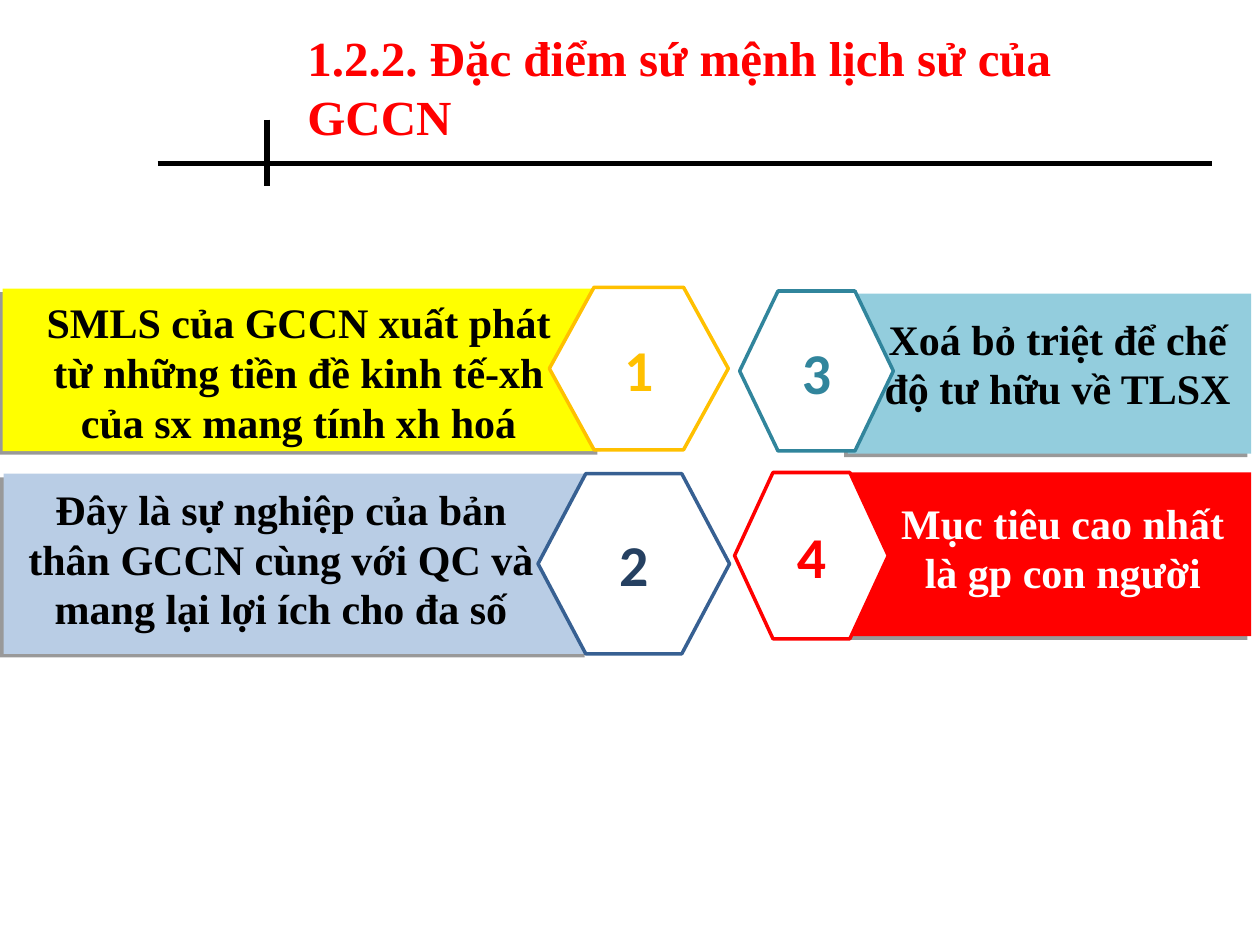
from lxml import etree
from pptx import Presentation
from pptx.dml.color import RGBColor
from pptx.enum.shapes import MSO_CONNECTOR, MSO_SHAPE
from pptx.enum.text import MSO_ANCHOR, PP_ALIGN
from pptx.oxml.ns import qn
from pptx.util import Inches, Pt

RECTANGLE, HEXAGON = MSO_SHAPE.RECTANGLE, MSO_SHAPE.HEXAGON
STRAIGHT = MSO_CONNECTOR.STRAIGHT
TOP, MIDDLE = MSO_ANCHOR.TOP, MSO_ANCHOR.MIDDLE
LEFT, CENTER = PP_ALIGN.LEFT, PP_ALIGN.CENTER
TITLE_ONLY = 5

COLORS = {
    "black": "000000", "white": "FFFFFF", "red": "FF0000",
    "yellow": "FFFF00", "gold": "FFC000",
    "pale_blue": "B9CDE5", "blue": "376092", "navy": "254061",
    "aqua": "93CDDD", "teal": "31859C",
}

# Each feature: number, text, colours (bar, outline, number, text),
# boxes (bar, hexagon, text), hexagon corner adjustment
FEATURES = [
    ("1", "SMLS của GCCN xuất phát từ những tiền đề kinh tế-xh của sx mang tính xh hoá",
     ("yellow", "gold", "gold", "black"),
     ((0.02, 2.29, 4.75, 1.29), (4.36, 2.28, 1.42, 1.29), (0.25, 2.31, 4.24, 1.29)), 0.275),
    ("2", "Đây là sự nghiệp của bản thân GCCN cùng với QC và mang lại lợi ích cho đa số",
     ("pale_blue", "blue", "navy", "black"),
     ((0.03, 3.76, 4.64, 1.43), (4.27, 3.76, 1.52, 1.43), (0.02, 3.79, 4.42, 1.29)), 0.265),
    ("3", "Xoá bỏ triệt để chế độ tư hữu về TLSX",
     ("aqua", "teal", "teal", "black"),
     ((6.73, 2.33, 3.2, 1.27), (5.87, 2.31, 1.22, 1.27), (6.86, 2.44, 3.07, 0.89)), 0.25),
    ("4", "Mục tiêu cao nhất là gp con người",
     ("red", "red", "red", "white"),
     ((6.73, 3.75, 3.2, 1.3), (5.83, 3.75, 1.22, 1.32), (6.98, 3.9, 2.91, 0.89)), 0.25),
]


def color(name):
    return RGBColor.from_string(COLORS[name])


def inches(box):
    return [Inches(length) for length in box]


class SlideBuilder:
    text_font = "Times New Roman"
    number_font = "Calibri"

    def __init__(self, slide):
        self.slide = slide

    def set_text(self, frame, text, font, size, ink, align=CENTER, anchor=TOP, wrap=True):
        frame.text = text
        frame.word_wrap = wrap
        frame.vertical_anchor = anchor
        paragraph = frame.paragraphs[0]
        paragraph.alignment = align
        style = paragraph.runs[0].font
        style.name, style.size, style.bold = font, Pt(size), True
        style.color.rgb = color(ink)
        return paragraph

    def title(self, text, box):
        heading = self.slide.shapes.title
        heading.left, heading.top, heading.width, heading.height = inches(box)
        self.set_text(heading.text_frame, text, self.text_font, 28, "red", LEFT, wrap=False)

    def rule(self, *ends):
        line = self.slide.shapes.add_connector(STRAIGHT, *inches(ends))
        line.line.color.rgb = color("black")
        line.line.width = Pt(3)
        etree.SubElement(line._element.spPr, qn("a:effectLst"))

    def bar(self, shapes, box, fill):
        bar = shapes.add_shape(RECTANGLE, *inches(box))
        bar.fill.solid()
        bar.fill.fore_color.rgb = color(fill)
        bar.line.fill.background()
        bar.shadow.inherit = False
        # Hard shadow towards the lower left
        effects = bar._element.spPr.find(qn("a:effectLst"))
        shadow = etree.SubElement(effects, qn("a:outerShdw"), blurRad="0",
                                  dist=str(Pt(3)), dir="8100000", algn="tr", rotWithShape="0")
        tint = etree.SubElement(shadow, qn("a:srgbClr"), val=COLORS["black"])
        etree.SubElement(tint, qn("a:alpha"), val="40000")

    def hexagon(self, shapes, box, number, outline, ink, corner):
        hexagon = shapes.add_shape(HEXAGON, *inches(box))
        hexagon.adjustments[0] = corner
        hexagon.shadow.inherit = False
        hexagon.fill.solid()
        hexagon.fill.fore_color.rgb = color("white")
        hexagon.line.color.rgb = color(outline)
        hexagon.line.width = Pt(2)
        self.set_text(hexagon.text_frame, number, self.number_font, 33, ink, anchor=MIDDLE)

    def label(self, shapes, box, text, ink):
        label = shapes.add_textbox(*inches(box))
        paragraph = self.set_text(label.text_frame, text, self.text_font, 24, ink)
        paragraph.line_spacing = Pt(28.5)

    def feature(self, number, text, colors, boxes, corner):
        fill, outline, number_ink, text_ink = colors
        bar_box, hexagon_box, text_box = boxes
        shapes = self.slide.shapes.add_group_shape().shapes
        self.bar(shapes, bar_box, fill)
        self.hexagon(shapes, hexagon_box, number, outline, number_ink, corner)
        self.label(shapes, text_box, text, text_ink)


def main():
    deck = Presentation()
    deck.slide_width, deck.slide_height = Inches(10), Inches(7.5)
    builder = SlideBuilder(deck.slides.add_slide(deck.slide_layouts[TITLE_ONLY]))

    # Heading with its crossed rules
    builder.rule(1.25, 1.3, 9.62, 1.3)
    builder.rule(2.12, 0.95, 2.12, 1.48)
    builder.title("1.2.2. Đặc điểm sứ mệnh lịch sử của GCCN", (2.34, 0.17, 7.34, 0.57))

    # Four numbered features
    for feature in FEATURES:
        builder.feature(*feature)

    deck.save("out.pptx")


if __name__ == "__main__":
    main()
